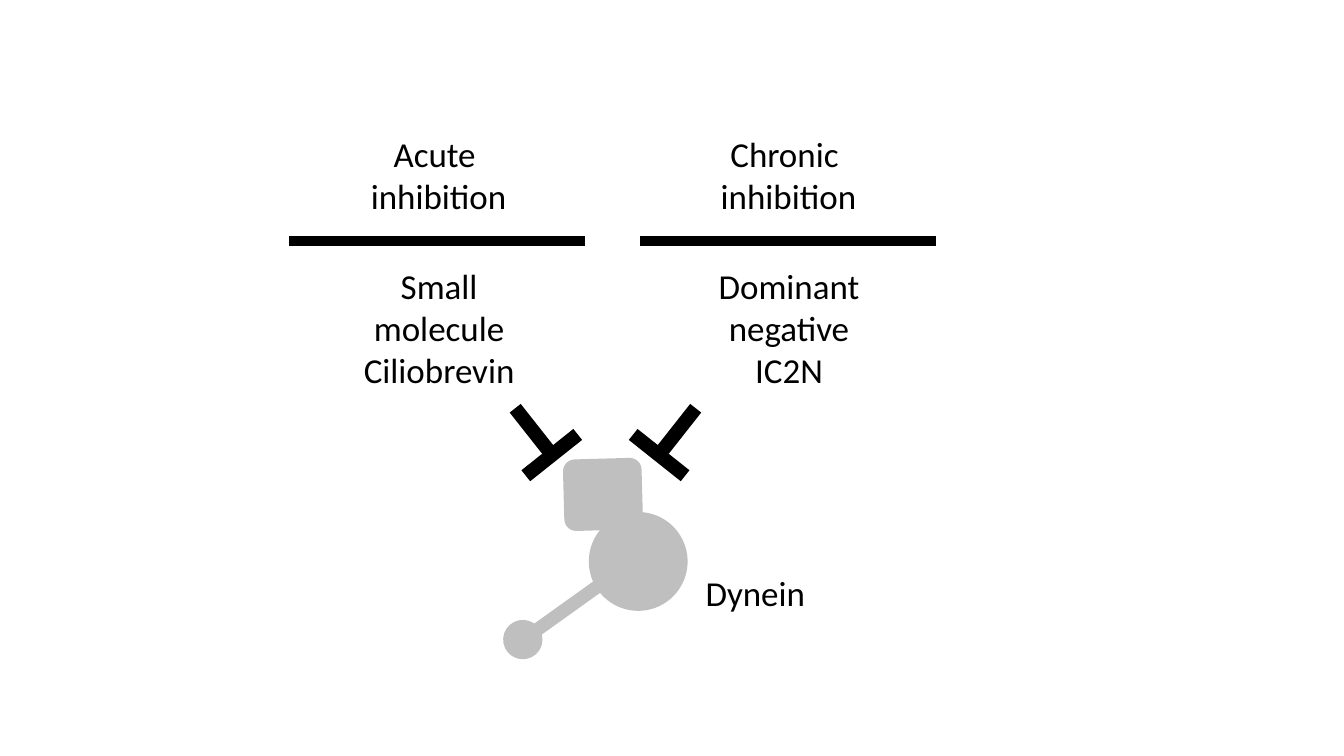
import pptx
import pptx.util
import pptx.dml.color
import pptx.enum.shapes
import pptx.enum.text
import pptx.oxml.ns
from lxml import etree

Inches, Pt = pptx.util.Inches, pptx.util.Pt
KIND = pptx.enum.shapes.MSO_SHAPE
ALIGN = pptx.enum.text.PP_ALIGN
BLACK, GREY = "000000", "BFBFBF"

deck = pptx.Presentation()
deck.slide_width, deck.slide_height = Inches(13.33), Inches(7.5)
slide = deck.slides.add_slide(deck.slide_layouts[6])
shapes = slide.shapes


def color(code):
    return pptx.dml.color.RGBColor.from_string(code)


def draw(x1, y1, x2, y2, tint, width):
    line = shapes.add_connector(
        pptx.enum.shapes.MSO_CONNECTOR.STRAIGHT,
        Inches(x1), Inches(y1), Inches(x2), Inches(y2))
    line.line.color.rgb = color(tint)
    line.line.width = Pt(width)
    props = line._element.spPr
    etree.SubElement(props, pptx.oxml.ns.qn("a:effectLst"))


# Dynein: stalk and neck lie behind the body parts
draw(6.19, 5.63, 5.24, 6.31, GREY, 9.5)
draw(6.27, 4.97, 6.36, 5.63, GREY, 6)
parts = [
    (KIND.OVAL, 5.84, 5.08, 0.98, 0.98, 33.9),
    (KIND.OVAL, 4.99, 6.15, 0.39, 0.39, 33.9),
    (KIND.ROUNDED_RECTANGLE, 5.59, 4.55, 0.78, 0.71, 358.4),
]
for kind, x, y, w, h, turn in parts:
    part = shapes.add_shape(kind, Inches(x), Inches(y), Inches(w), Inches(h))
    part.rotation = turn
    part.shadow.inherit = False
    part.fill.solid()
    part.fill.fore_color.rgb = color(GREY)
    part.line.fill.background()

# Rule below each heading
for left in (2.87, 6.35):
    draw(left, 2.39, left + 2.93, 2.39, BLACK, 7)

# Inhibition bars, mirrored about the middle of the two columns
middle = 6.005
for side in (-1, 1):
    draw(middle + side * 0.895, 4.05, middle + side * 0.525, 4.52, BLACK, 10)
    draw(middle + side * 0.79, 4.72, middle + side * 0.275, 4.31, BLACK, 10)

# Labels
labels = [
    (3.57, 1.27, 1.56, 0.94, ALIGN.CENTER, False, ["Acute ", "inhibition"]),
    (7.04, 1.27, 1.56, 0.94, ALIGN.CENTER, False, ["Chronic ", "inhibition"]),
    (3.2, 2.58, 2.31, 1.36, ALIGN.CENTER, True,
     ["Small", "molecule", "Ciliobrevin"]),
    (6.67, 2.58, 2.31, 1.36, ALIGN.CENTER, True,
     ["Dominant", "negative", "IC2N"]),
    (6.9, 5.62, 1.2, 0.52, ALIGN.LEFT, False, ["Dynein"]),
]
style = {"size": Pt(25), "name": "Calibri"}
for x, y, w, h, align, wrap, rows in labels:
    box = shapes.add_textbox(Inches(x), Inches(y), Inches(w), Inches(h))
    frame = box.text_frame
    frame.word_wrap = wrap
    frame.auto_size = pptx.enum.text.MSO_AUTO_SIZE.SHAPE_TO_FIT_TEXT
    frame.text = "\n".join(rows)
    for para in frame.paragraphs:
        para.alignment = align
        font = para.runs[0].font
        font.color.rgb = color(BLACK)
        for key, value in style.items():
            setattr(font, key, value)

deck.save("out.pptx")
